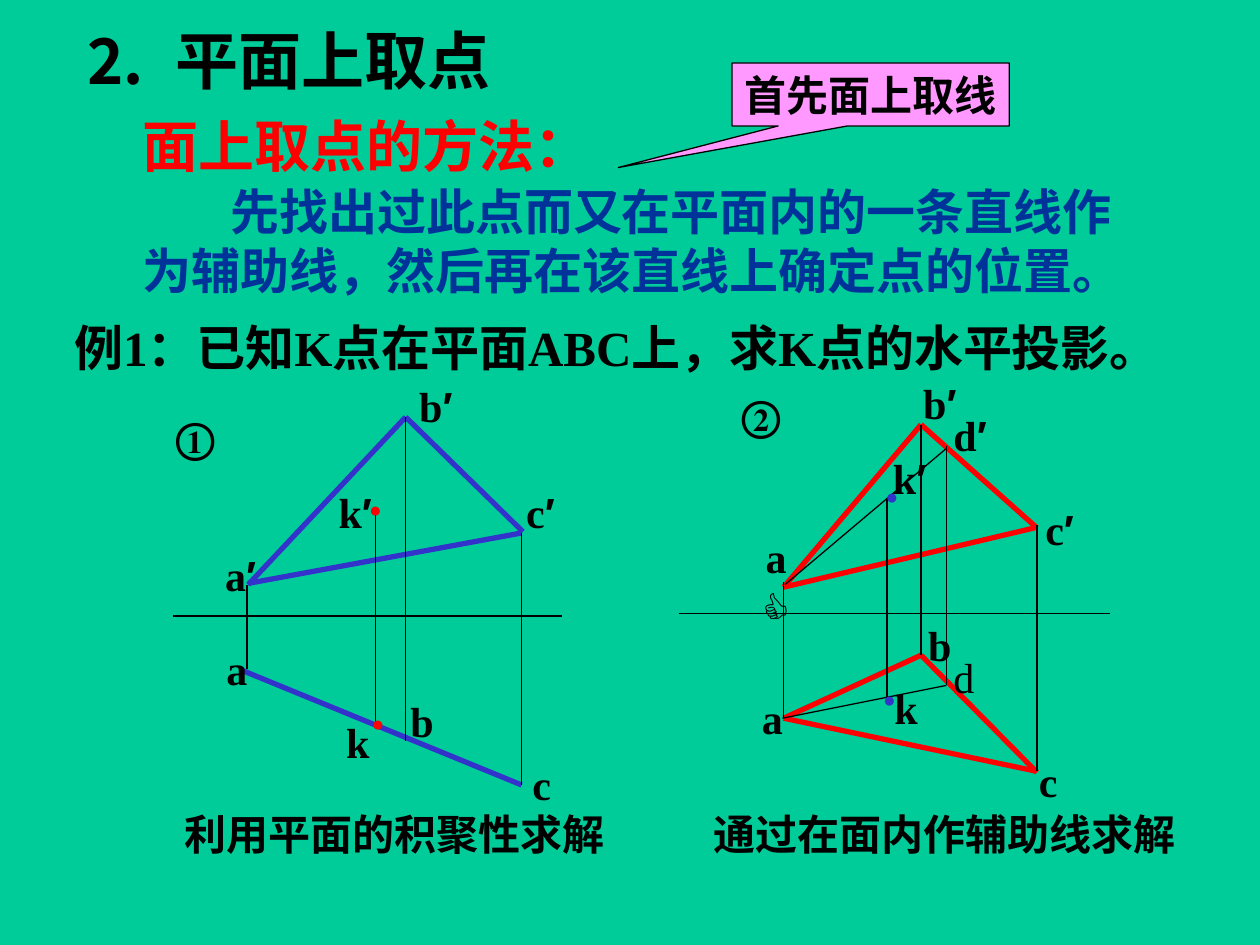
from lxml.etree import SubElement as Sub
from pptx import Presentation
from pptx.dml.color import RGBColor as RGB
from pptx.enum.shapes import MSO_CONNECTOR as CONN, MSO_SHAPE as SHAPE
from pptx.enum.text import MSO_ANCHOR as ANCHOR, MSO_AUTO_SIZE as SIZE, PP_ALIGN as ALIGN
from pptx.oxml.ns import qn
from pptx.util import Inches, Pt

BLACK = RGB(0x00, 0x00, 0x00)
RED = RGB(0xFF, 0x00, 0x00)
BLUE = RGB(0x33, 0x33, 0xCC)
NAVY = RGB(0x00, 0x33, 0x99)
PINK = RGB(0xFF, 0x99, 0xFF)
GREEN = RGB(0x00, 0xCC, 0x99)
FONTS = {"′": "Arial", "👍": "Lato"}


def write(shape, text, size, color=BLACK, align=ALIGN.CENTER, wrap=False, bold=True):
    frame = shape.text_frame
    frame.auto_size = SIZE.NONE
    frame.word_wrap = wrap
    frame.vertical_anchor = ANCHOR.MIDDLE
    para = frame.paragraphs[0]
    para.alignment = align
    mark = text[-1] if text[-1] in FONTS else ""
    for part in filter(None, (text.removesuffix(mark), mark)):
        run = para.add_run()
        run.text = part
        run.font.name = FONTS.get(part, "Times New Roman")
        run.font.size = Pt(size)
        run.font.bold = bold
        run.font.color.rgb = color
    return para


def place(shape, left, top, width, height):
    shape.left, shape.top = Inches(left), Inches(top)
    shape.width, shape.height = Inches(width), Inches(height)


prs = Presentation()
prs.slide_width, prs.slide_height = Inches(10), Inches(7.5)
slide = prs.slides.add_slide(prs.slide_layouts[1])
shapes = slide.shapes
slide.background.fill.solid()
slide.background.fill.fore_color.rgb = GREEN

title = shapes.title
place(title, 0.56, 0.12, 3.47, 0.7)
para = write(title, "⒉\t平面上取点", 36, align=ALIGN.LEFT)
tabs = Sub(para._p.get_or_add_pPr(), qn("a:tabLst"))
Sub(tabs, qn("a:tab"), pos=str(Inches(0.73)), algn="l")

body = slide.placeholders[1]
place(body, 1.03, 1.39, 8.22, 1.04)
para = write(body, "先找出过此点而又在平面内的一条直线作为辅助线，然后再在该直线上确定点的位置。",
             28, NAVY, ALIGN.LEFT, True)
para.space_before = Pt(0)
props = para._p.get_or_add_pPr()
props.set("marL", "0")
props.set("indent", str(Inches(0.7)))
Sub(props, qn("a:buNone"))

lines = [
    (1.97, 4.63, 4.14, 4.23, BLUE), (1.97, 4.64, 3.22, 3.31, BLUE),
    (3.22, 3.31, 4.15, 4.22, BLUE), (1.92, 5.32, 4.14, 6.23, BLUE),
    (4.14, 4.23, 4.14, 6.23, BLACK), (3.22, 3.31, 3.22, 5.88, BLACK),
    (1.37, 4.89, 4.46, 4.89, BLACK), (1.96, 4.64, 1.96, 5.31, BLACK),
    (2.98, 4.07, 2.98, 5.76, BLACK),
    (5.39, 4.87, 8.81, 4.87, BLACK),
    (6.22, 4.66, 8.21, 4.19, RED), (6.22, 4.66, 7.31, 3.37, RED),
    (7.31, 3.37, 8.23, 4.19, RED), (6.22, 5.7, 7.31, 5.2, RED),
    (7.31, 5.2, 8.23, 6.13, RED), (8.22, 6.12, 6.22, 5.7, RED),
    (7.31, 3.37, 7.31, 5.2, BLACK), (6.22, 4.62, 6.22, 5.7, BLACK),
    (8.23, 4.17, 8.23, 6.12, BLACK), (6.21, 5.7, 7.51, 5.44, BLACK),
    (6.23, 4.64, 7.51, 3.56, BLACK), (7.04, 3.95, 7.04, 5.54, BLACK),
    (7.51, 3.54, 7.51, 5.44, BLACK),
]
for x1, y1, x2, y2, color in lines:
    line = shapes.add_connector(CONN.STRAIGHT, Inches(x1), Inches(y1), Inches(x2), Inches(y2))
    line.line.color.rgb = color
    line.line.width = Pt(0.75 if color == BLACK else 3)
    Sub(line._element.spPr, qn("a:effectLst"))

for x, y, color in [(2.98, 4.04, RED), (3, 5.74, RED), (7.08, 3.94, BLUE), (7.06, 5.55, BLUE)]:
    dot = shapes.add_textbox(Inches(x - 0.15), Inches(y - 0.15), Inches(0.3), Inches(0.3))
    write(dot, "●", 12, color)

labels = [
    ("①", 1.55, 3.22), ("b′", 3.46, 2.97), ("k′", 2.82, 3.81), ("c′", 4.29, 3.81),
    ("a′", 1.91, 4.31), ("a", 1.88, 5.06), ("b", 3.35, 5.47), ("k", 2.84, 5.64),
    ("c", 4.3, 5.97),
    ("②", 6.04, 3.04), ("b′", 7.46, 2.95), ("d′", 7.7, 3.2), ("k′", 7.22, 3.54),
    ("c′", 8.41, 3.95), ("a👍", 6.16, 4.37), ("b", 7.46, 4.87), ("d", 7.65, 5.12),
    ("k", 7.19, 5.37), ("a", 6.13, 5.45), ("c", 8.32, 5.95),
]
for text, mid, top in labels:
    label = shapes.add_textbox(Inches(mid - 0.25), Inches(top), Inches(0.5), Inches(0.5))
    write(label, text, 24, wrap=text == "a👍", bold=text != "d")

notes = [
    ("面上取点的方法：", 1.03, 0.83, 3.76, 0.64, 32, RED, ALIGN.LEFT),
    ("例1：已知K点在平面ABC上，求K点的水平投影。", 0.49, 2.47, 9.55, 0.57, 28, BLACK, ALIGN.LEFT),
    ("利用平面的积聚性求解", 1.37, 6.37, 3.53, 0.5, 24, BLACK, ALIGN.CENTER),
    ("通过在面内作辅助线求解", 5.57, 6.37, 3.86, 0.5, 24, BLACK, ALIGN.CENTER),
]
for text, left, top, width, height, size, color, align in notes:
    note = shapes.add_textbox(Inches(left), Inches(top), Inches(width), Inches(height))
    write(note, text, size, color, align)

call = shapes.add_shape(SHAPE.RECTANGULAR_CALLOUT, Inches(5.81), Inches(0.5), Inches(2.2), Inches(0.5))
call.adjustments[0], call.adjustments[1] = -0.91, 1.16
call.shadow.inherit = False
call.fill.solid()
call.fill.fore_color.rgb = PINK
call.line.color.rgb = BLACK
call.line.width = Pt(0.75)
write(call, "首先面上取线", 24)

prs.save("out.pptx")
